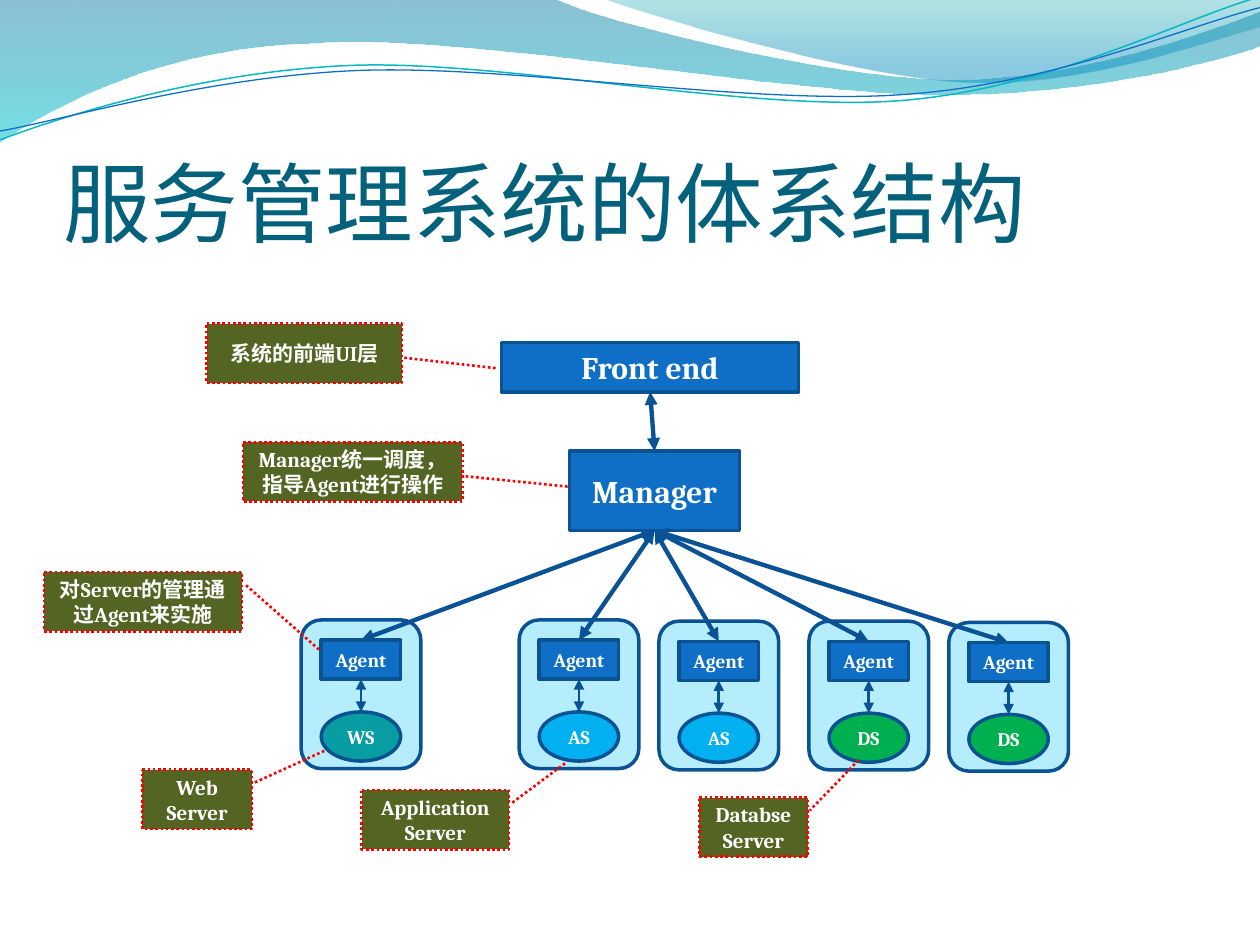
from math import cos, radians, sin

from lxml import etree
from pptx import Presentation
from pptx.dml.color import RGBColor
from pptx.enum.dml import MSO_LINE
from pptx.enum.shapes import MSO_CONNECTOR, MSO_SHAPE
from pptx.enum.text import MSO_ANCHOR, PP_ALIGN
from pptx.oxml.ns import qn
from pptx.util import Inches, Pt

COLORS = {
    "title": "04617B", "box": "0F6FC6", "edge": "0B5292", "arrow": "095295",
    "panel": "B5EDFD", "callout": "546422", "leader": "FF0000", "text": "FFFFFF",
    "web": "089CA3", "application": "00B0F0", "database": "00B050",
    "wave_teal": "0AB8BF", "band_top": "0074A1", "band_bottom": "00C6CF",
    "veil_top": "00A1A9", "veil_bottom": "008BBF",
}

TITLE = "服务管理系统的体系结构"
BANDS = [
    ([(0, 0), (4.4, -0.01), (4.76, 0.17, 6.64, 0.63, 7.58, 0.63),
      (8.53, 0.63, 9.58, 0.26, 10, 0.09), (10.01, 0.36),
      (9.83, 0.44, 8.7, 0.76, 7.46, 0.75), (6.22, 0.75, 3.82, 0.28, 2.57, 0.34),
      (1.29, 0.36, 0.46, 0.83, -0.01, 1.13), (0, 0)],
     [(0, "band_top", 45), (1, "band_bottom", 55)]),
    ([(4.79, -0.01), (5.09, 0.11, 6.82, 0.62, 7.69, 0.65),
      (8.56, 0.69, 9.61, 0.32, 10, 0.21), (10, 0), (4.79, -0.01)],
     [(0, "veil_top", 30), (0.8, "veil_bottom", 45)]),
]
WAVES = [
    ([(0, 1.11), (0.48, 0.93, 1.58, 0.57, 2.77, 0.52),
      (3.95, 0.47, 5.93, 0.89, 7.13, 0.8), (8.33, 0.71, 9.38, 0.15, 9.98, -0.02)],
     "wave_teal", 0.85),
    ([(0, 1.04), (0.47, 0.96, 1.64, 0.61, 2.83, 0.56),
      (4.03, 0.51, 5.97, 0.84, 7.17, 0.75), (8.36, 0.67, 9.41, 0.21, 10, 0.06)],
     "box", 0.75),
]
WAVE_TILT = -2.7
WAVE_CENTER = (4.99, 0.58)
SERVERS = [
    ("DS", "database", 6.42, 4.93), ("DS", "database", 7.53, 4.94),
    ("AS", "application", 4.12, 4.92), ("AS", "application", 5.23, 4.93),
    ("WS", "web", 2.39, 4.92),
]
SERVER_CALLOUTS = [
    ("Web\nServer", (1.13, 6.11, 0.87), (-0.32, 1.66, 0.22, 1.02)),
    ("Databse\nServer", (5.55, 6.33, 0.86), (-0.63, 1.47, 0.22, 1.02)),
    ("Application\nServer", (2.87, 6.27, 1.17), (-0.45, 1.38, 0.22, 1.02)),
]
LAYER_CALLOUTS = [
    ("对Server的管理通过Agent来实施", (0.35, 4.54, 1.57), (1.31, 1.39, 0.22, 1.02)),
    ("Manager统一调度，指导Agent进行操作", (1.93, 3.51, 1.74), (0.75, 1.48, 0.57, 1)),
    ("系统的前端UI层", (1.64, 2.57, 1.55), (0.75, 1.48, 0.57, 1)),
]
CALLOUT_HEIGHT = 0.47
PANEL_SIZE = (0.95, 1.18)
PANEL_MARGIN = 0.16
AGENT_SIZE = (0.63, 0.31)
SERVER_SIZE = (0.63, 0.39)
SERVER_DROP = 0.73
TOP, BOTTOM = 0, 2


def color(name):
    return RGBColor.from_string(COLORS[name])


def apply(target, values):
    for name, value in values.items():
        setattr(target, name, value)


def set_line(line, name, width):
    line.color.rgb = color(name)
    line.width = Pt(width)


def write(frame, text, alignment, ink, **font):
    frame.text = text
    for paragraph in frame.paragraphs:
        paragraph.alignment = alignment
        for run in paragraph.runs:
            run.font.color.rgb = color(ink)
            apply(run.font, font)


def add_box(shapes, kind, place, fill, text="", size=11, edge="edge", width=2):
    shape = shapes.add_shape(kind, *map(Inches, place))
    shape.shadow.inherit = False
    shape.fill.solid()
    shape.fill.fore_color.rgb = color(fill)
    set_line(shape.line, edge, width)
    if text:
        apply(shape.text_frame, {"word_wrap": True, "vertical_anchor": MSO_ANCHOR.MIDDLE})
        write(shape.text_frame, text, PP_ALIGN.CENTER, "text",
              name="Cambria", size=Pt(size), bold=True)
    return shape


def add_arrow(shapes, upper, lower, width):
    connector = shapes.add_connector(MSO_CONNECTOR.STRAIGHT, 0, 0, 0, 0)
    connector.begin_connect(upper, BOTTOM)
    connector.end_connect(lower, TOP)
    set_line(connector.line, "arrow", width)
    properties = connector._element.spPr
    for end in ("a:headEnd", "a:tailEnd"):
        etree.SubElement(properties.find(qn("a:ln")), qn(end), type="triangle")
    etree.SubElement(properties, qn("a:effectLst"))


def add_callouts(shapes, callouts):
    for text, place, leader in callouts:
        callout = add_box(shapes, MSO_SHAPE.LINE_CALLOUT_1, (*place, CALLOUT_HEIGHT),
                          "callout", text, 12, "leader", 1.5)
        callout.line.dash_style = MSO_LINE.ROUND_DOT
        for index, value in enumerate(leader):
            callout.adjustments[index] = value


def pairs(segment):
    return list(zip(segment[::2], segment[1::2]))


def level(segment):
    angle = radians(-WAVE_TILT)
    center_x, center_y = WAVE_CENTER
    turned = []
    for x, y in pairs(segment):
        across, down = x - center_x, y - center_y
        turned += [center_x + across * cos(angle) - down * sin(angle),
                   center_y + across * sin(angle) + down * cos(angle)]
    return turned


def add_outline(shapes, segments, close):
    anchors = [tuple(map(Inches, segment[-2:])) for segment in segments]
    builder = shapes.build_freeform(*anchors[0])
    builder.add_line_segments(anchors[1:-1] if close else anchors[1:], close=close)
    shape = builder.convert_to_shape()
    shape.shadow.inherit = False
    for segment, element in zip(segments[1:], shape._element.xpath(".//a:lnTo")):
        if len(segment) == 6:
            curve = etree.Element(qn("a:cubicBezTo"))
            for x, y in pairs(segment):
                etree.SubElement(curve, qn("a:pt"), x=str(Inches(x) - shape.left),
                                 y=str(Inches(y) - shape.top))
            element.getparent().replace(element, curve)
    return shape


def add_band(shapes, segments, stops):
    shape = add_outline(shapes, segments, True)
    shape.line.fill.background()
    shape.fill.gradient()
    shape.fill.gradient_angle = 270
    for stop, (position, name, _) in zip(shape.fill.gradient_stops, stops):
        stop.position = position
        stop.color.rgb = color(name)
    for element, (_, _, opacity) in zip(shape._element.xpath(".//a:gs/a:srgbClr"), stops):
        etree.SubElement(element, qn("a:alpha"), val=str(opacity * 1000))


def main():
    presentation = Presentation()
    apply(presentation, {"slide_width": Inches(10), "slide_height": Inches(7.5)})
    slide = presentation.slides.add_slide(presentation.slide_layouts[5])
    shapes = slide.shapes

    title = shapes.title
    apply(title, {"left": Inches(0.5), "top": Inches(0.77),
                  "width": Inches(9), "height": Inches(1.25)})
    apply(title.text_frame, {"vertical_anchor": MSO_ANCHOR.BOTTOM, "word_wrap": True,
                             "margin_left": 0, "margin_right": 0,
                             "margin_top": Inches(0.05), "margin_bottom": 0})
    write(title.text_frame, TITLE, PP_ALIGN.LEFT, "title", name="Calibri", size=Pt(50))

    for segments, stops in BANDS:
        add_band(shapes, segments, stops)
    for segments, name, width in WAVES:
        wave = add_outline(shapes, [level(segment) for segment in segments], False)
        wave.rotation = WAVE_TILT
        wave.fill.background()
        set_line(wave.line, name, width)

    agents = []
    for label, fill, left, top in SERVERS:
        add_box(shapes, MSO_SHAPE.ROUNDED_RECTANGLE, (left, top, *PANEL_SIZE), "panel")
        inner = left + PANEL_MARGIN
        server = add_box(shapes, MSO_SHAPE.OVAL,
                         (inner, top + SERVER_DROP, *SERVER_SIZE), fill, label)
        agent = add_box(shapes, MSO_SHAPE.RECTANGLE,
                        (inner, top + PANEL_MARGIN, *AGENT_SIZE), "box", "Agent")
        add_arrow(shapes, agent, server, 1.5)
        agents.append(agent)
    add_callouts(shapes, SERVER_CALLOUTS)

    manager = add_box(shapes, MSO_SHAPE.RECTANGLE, (4.52, 3.58, 1.35, 0.63),
                      "box", "Manager", 18)
    for agent in agents:
        add_arrow(shapes, manager, agent, 2.5)
    front_end = add_box(shapes, MSO_SHAPE.RECTANGLE, (3.98, 2.72, 2.36, 0.39),
                        "box", "Front end", 18)
    add_arrow(shapes, front_end, manager, 2.5)
    add_callouts(shapes, LAYER_CALLOUTS)

    presentation.save("out.pptx")


if __name__ == "__main__":
    main()
